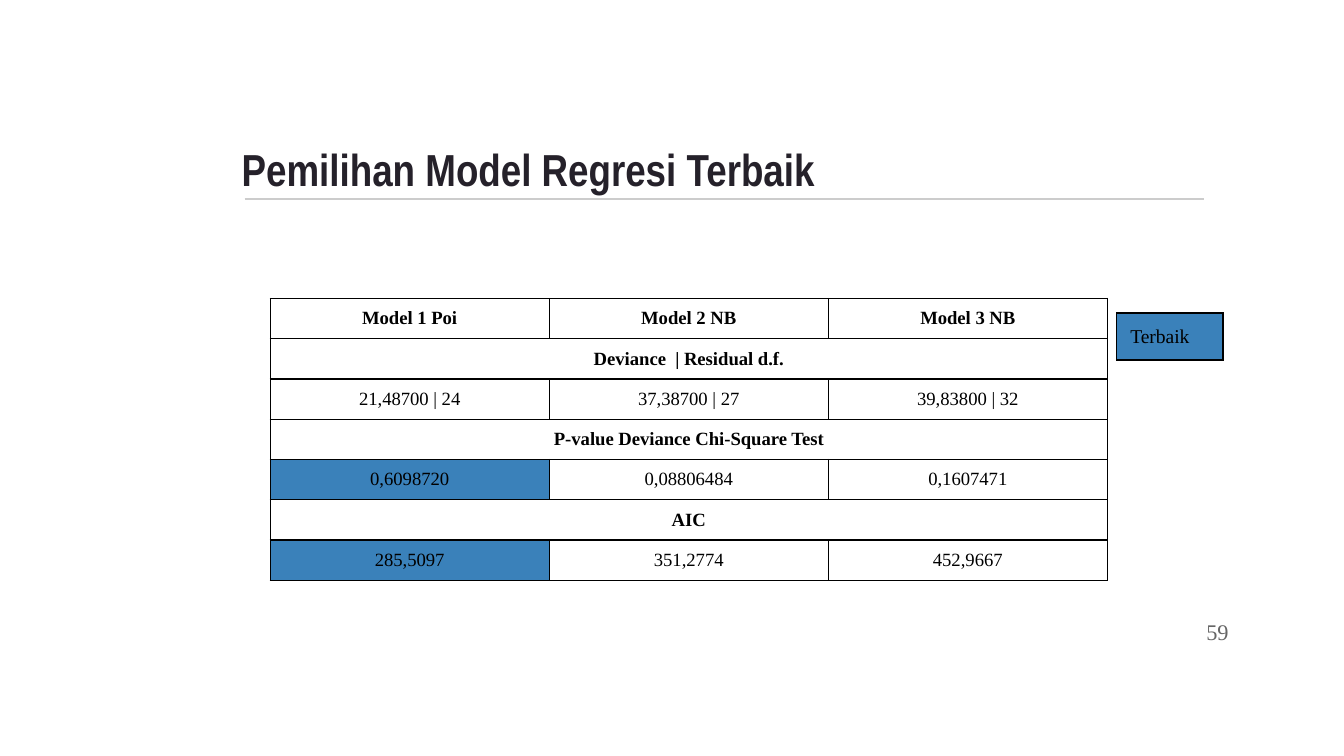
from dataclasses import dataclass

from lxml import etree
from pptx import Presentation
from pptx.dml.color import RGBColor
from pptx.enum.shapes import MSO_CONNECTOR
from pptx.enum.text import MSO_ANCHOR, PP_ALIGN
from pptx.oxml.ns import qn
from pptx.util import Inches, Pt

LEFT, MID, RIGHT = PP_ALIGN.LEFT, PP_ALIGN.CENTER, PP_ALIGN.RIGHT
MIDDLE, BOTTOM = MSO_ANCHOR.MIDDLE, MSO_ANCHOR.BOTTOM
STRAIGHT = MSO_CONNECTOR.STRAIGHT
WIDE = Inches(10)
HIGH = WIDE * 9 // 16


@dataclass(frozen=True)
class Theme:
    ink: str = "25212A"
    black: str = "000000"
    grey: str = "666666"
    rule: str = "CCCCCC"
    best: str = "3A81BA"
    head: str = "Arial Narrow"
    body: str = "Times New Roman"
    title: float = 24
    page: float = 12
    cell: float = 10
    key: float = 10.5
    line: float = 0.75


THEME = Theme()

# One entry is a heading across all columns
ROWS = [
    ["Model 1 Poi", "Model 2 NB", "Model 3 NB"],
    ["Deviance  | Residual d.f."],
    ["21,48700 | 24", "37,38700 | 27", "39,83800 | 32"],
    ["P-value Deviance Chi-Square Test"],
    ["0,6098720", "0,08806484", "0,1607471"],
    ["AIC"],
    ["285,5097", "351,2774", "452,9667"],
]
BEST = {(4, 0), (6, 0)}


def area(x, y, w, h):
    """Turn percentages of the slide into lengths."""
    return [int(part * side / 100)
            for part, side in zip((x, y, w, h), (WIDE, HIGH) * 2)]


def style(frame, font, size, color, bold=False, align=LEFT):
    for para in frame.paragraphs:
        para.alignment = align
        for run in para.runs:
            run.font.name = font
            run.font.size = Pt(size)
            run.font.bold = bold
            run.font.color.rgb = RGBColor.from_string(color)


def add_text(slide, spot, text, anchor, *look, **more):
    frame = slide.shapes.add_textbox(*area(*spot)).text_frame
    frame.word_wrap = True
    frame.vertical_anchor = anchor
    frame.margin_left = frame.margin_right = Inches(0.1)
    frame.margin_top = frame.margin_bottom = Inches(0.1)
    frame.text = text
    style(frame, *look, **more)


def add_rule(slide, x, y, w):
    left, top, width, _ = area(x, y, w, 0)
    line = slide.shapes.add_connector(STRAIGHT, left, top, left + width, top)
    line.line.color.rgb = RGBColor.from_string(THEME.rule)
    line.line.width = Pt(THEME.line)
    etree.SubElement(line._element.spPr, qn("a:effectLst"))


def add_edges(cell):
    props = cell._tc.get_or_add_tcPr()
    for side in ("lnL", "lnR", "lnT", "lnB"):
        edge = etree.SubElement(props, qn(f"a:{side}"), w=str(Pt(THEME.line)))
        fill = etree.SubElement(edge, qn("a:solidFill"))
        etree.SubElement(fill, qn("a:srgbClr"), val=THEME.black)


def paint(cell, best):
    cell.vertical_anchor = MIDDLE
    add_edges(cell)
    if best:
        cell.fill.solid()
        cell.fill.fore_color.rgb = RGBColor.from_string(THEME.best)
    else:
        cell.fill.background()


def add_grid(slide, spot, rows, cols):
    grid = slide.shapes.add_table(rows, cols, *area(*spot)).table
    grid.first_row = grid.horz_banding = False
    return grid


def add_models(slide, spot):
    cols = len(ROWS[0])
    grid = add_grid(slide, spot, len(ROWS), cols)
    for r, row in enumerate(ROWS):
        wide = len(row) == 1
        if wide:
            grid.cell(r, 0).merge(grid.cell(r, cols - 1))
        for c in range(cols):
            cell = grid.cell(r, c)
            paint(cell, (r, c) in BEST)
            cell.margin_left = cell.margin_right = Inches(0.04)
            cell.margin_top = cell.margin_bottom = Inches(0.03)
            if c < len(row):
                cell.text_frame.text = row[c]
                style(cell.text_frame, THEME.body, THEME.cell, THEME.black,
                      bold=wide or r == 0, align=MID)


def add_key(slide, spot):
    cell = add_grid(slide, spot, 1, 1).cell(0, 0)
    paint(cell, True)
    cell.text_frame.text = "Terbaik"
    style(cell.text_frame, THEME.body, THEME.key, THEME.black)


def main():
    deck = Presentation()
    deck.slide_width, deck.slide_height = WIDE, HIGH
    slide = deck.slides.add_slide(deck.slide_layouts[6])

    # Title and rule
    add_rule(slide, 18.2, 26.33, 71.4)
    add_text(slide, (17, 14, 72.4, 13.65), "Pemilihan Model Regresi Terbaik",
             BOTTOM, THEME.head, THEME.title, THEME.ink, bold=True)

    # Page number
    add_text(slide, (86.4, 79.7, 6, 7.64), "59", MIDDLE,
             THEME.body, THEME.page, THEME.grey, align=RIGHT)

    # Model table and its key
    add_models(slide, (20.1, 39.47, 62.3, 37.33))
    add_key(slide, (83.1, 41.4, 7.9, 6.22))

    deck.save("out.pptx")


if __name__ == "__main__":
    main()
